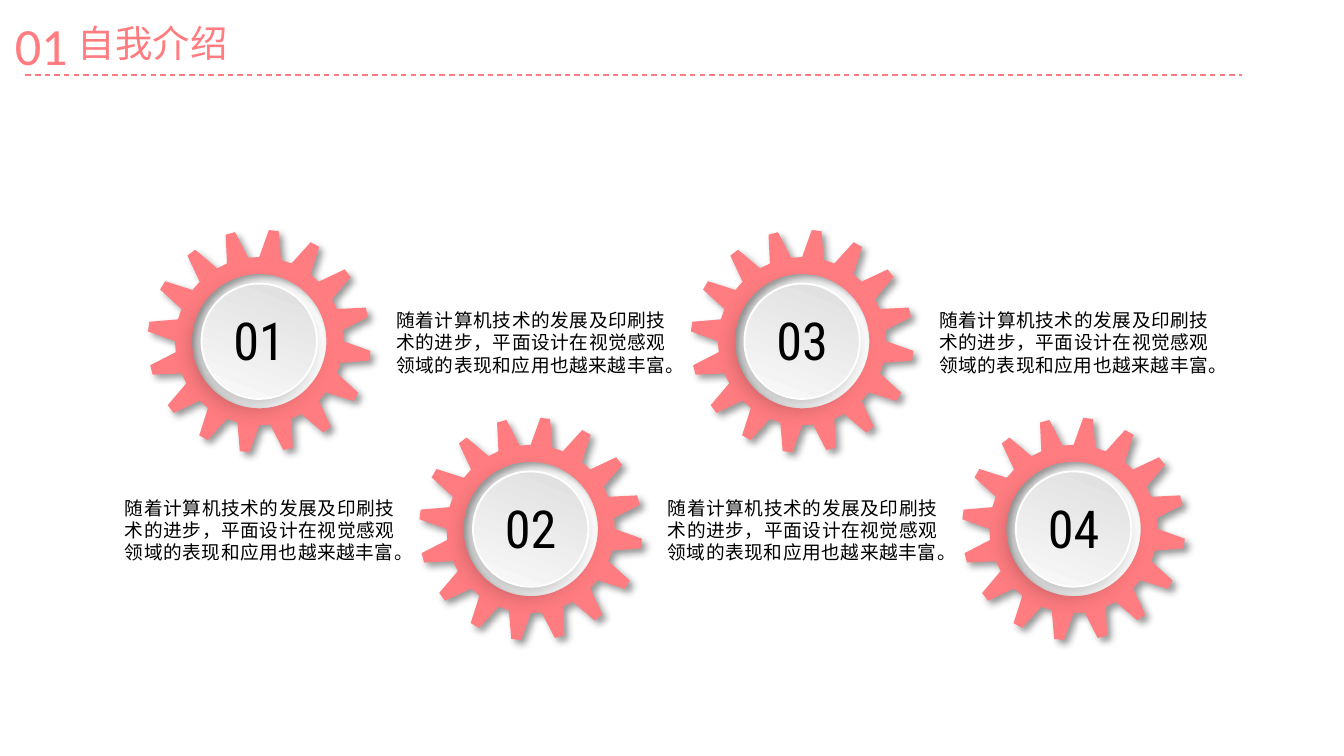
from math import cos, radians, sin

from pptx import Presentation
from pptx.dml.color import RGBColor
from pptx.enum.dml import MSO_LINE
from pptx.enum.shapes import MSO_CONNECTOR, MSO_SHAPE
from pptx.enum.text import MSO_ANCHOR, MSO_AUTO_SIZE, PP_ALIGN
from pptx.oxml.ns import qn
from pptx.oxml.xmlchemy import OxmlElement
from pptx.util import Cm, Pt

DASH = MSO_LINE.DASH
LINE = MSO_CONNECTOR.STRAIGHT
OVAL = MSO_SHAPE.OVAL
TOP = MSO_ANCHOR.TOP
GROW = MSO_AUTO_SIZE.SHAPE_TO_FIT_TEXT
LEFT, MID, FULL = PP_ALIGN.LEFT, PP_ALIGN.CENTER, PP_ALIGN.JUSTIFY

# Content
TITLE = ("01", "自我介绍")
BODY = "随着计算机技术的发展及印刷技术的进步，平面设计在视觉感观领域的表现和应用也越来越丰富。"
ITEMS = [("01", BODY), ("02", BODY), ("03", BODY), ("04", BODY)]

COLORS = {"coral": "FF7C80", "black": "000000", "white": "FFFFFF", "grey": "D9D9D9"}
HAN, NUM, LATIN = "Noto Sans CJK SC", "Roboto Condensed", "Calibri"

# Layout in cm: gears step right and alternate between two rows
START, STEP, ROWS = 4.9, 5.13, (6.45, 10.0)
NOTES = (2.34, -7.92)  # caption offset from the gear centre, by row
RISE = 0.74
TEETH, LEAN = 16, -15
TIP, ROOT, HOLE, DISC = 2.11, 1.59, 1.27, 1.09


def rgb(name):
    return RGBColor.from_string(COLORS[name])


def add_shade(parent, alpha, blur, dist, angle):
    shade = OxmlElement("a:outerShdw")
    for key, val in (("blurRad", Pt(blur)), ("dist", Pt(dist)),
                     ("dir", angle * 60000), ("algn", "ctr"), ("rotWithShape", 0)):
        shade.set(key, str(val))
    tint = OxmlElement("a:srgbClr")
    tint.set("val", COLORS["black"])
    level = OxmlElement("a:alpha")
    level.set("val", str(alpha * 1000))
    tint.append(level)
    shade.append(tint)
    parent.append(shade)


def cast(shape, *args):
    shape.shadow.inherit = False
    add_shade(shape._element.spPr.find(qn("a:effectLst")), *args)


def write(box, text, size, font, color="black", align=LEFT, wrap=True,
          pitch=None, shade=False):
    frame = box.text_frame
    frame.word_wrap = wrap
    frame.auto_size = GROW
    frame.vertical_anchor = TOP
    para = frame.paragraphs[0]
    para.alignment = align
    if pitch:
        para.line_spacing = Pt(pitch)
    run = para.add_run()
    run.text = text
    run.font.size = Pt(size)
    run.font.color.rgb = rgb(color)
    run.font.name = font
    props = run.font._element
    east = OxmlElement("a:ea")
    east.set("typeface", font)
    props.find(qn("a:latin")).addnext(east)
    if shade:
        effect = OxmlElement("a:effectLst")
        add_shade(effect, 43, 3, 3, 45)
        props.find(qn("a:solidFill")).addnext(effect)


def add_box(shapes, x, y, w, h, text, size, font, **style):
    box = shapes.add_textbox(Cm(x), Cm(y), Cm(w), Cm(h))
    write(box, text, size, font, **style)


def polar(x, y, radius, angle):
    turn = radians(angle)
    return Cm(x + radius * sin(turn)), Cm(y - radius * cos(turn))


def add_gear(shapes, x, y):
    tooth = ((-7.5, ROOT), (-2.5, TIP), (2.5, TIP), (7.5, ROOT))
    rim = [polar(x, y, radius, LEAN + 360 / TEETH * i + turn)
           for i in range(TEETH) for turn, radius in tooth]
    hole = [polar(x, y, HOLE, -4 * i) for i in range(90)]
    form = shapes.build_freeform(*rim[0])
    form.add_line_segments(rim[1:])
    form.move_to(*hole[0])
    form.add_line_segments(hole[1:])
    gear = form.convert_to_shape()
    gear.fill.solid()
    gear.fill.fore_color.rgb = rgb("coral")
    gear.line.fill.background()
    cast(gear, 40, 4, 3, 45)


def add_disc(shapes, x, y):
    disc = shapes.add_shape(OVAL, Cm(x - DISC), Cm(y - DISC), Cm(2 * DISC), Cm(2 * DISC))
    disc.rotation = 336.2
    disc.fill.gradient()
    disc.fill.gradient_angle = 45
    for stop, name in zip(disc.fill.gradient_stops, ("white", "grey")):
        stop.color.rgb = rgb(name)
    disc.line.color.rgb = rgb("white")
    disc.line.width = Pt(1)
    cast(disc, 26, 12, 5, 135)


def main():
    deck = Presentation()
    deck.slide_width, deck.slide_height = Cm(25.4), Cm(14.29)
    slide = deck.slides.add_slide(deck.slide_layouts[5])
    shapes = slide.shapes

    # Heading
    number, name = TITLE
    head = shapes.title
    head.left, head.top, head.width, head.height = Cm(1.22), Cm(0.25), Cm(9), Cm(1.11)
    write(head, name, 20, HAN, color="coral", shade=True)
    add_box(shapes, 0.03, 0.13, 1.52, 1.45, number, 28, LATIN, color="coral", wrap=False)
    rule = shapes.add_connector(LINE, Cm(0.48), Cm(1.42), Cm(23.47), Cm(1.42))
    rule.line.color.rgb = rgb("coral")
    rule.line.width = Pt(0.75)
    rule.line.dash_style = DASH
    rule._element.spPr.append(OxmlElement("a:effectLst"))

    # Gears with captions
    for i, (label, note) in enumerate(ITEMS):
        row = i % 2
        x, y = START + STEP * i, ROWS[row]
        add_box(shapes, x + NOTES[row], y - RISE, 5.59, 1.55, note, 10, HAN,
                align=FULL, pitch=12)
        group = shapes.add_group_shape().shapes
        add_gear(group, x, y)
        add_disc(group, x, y)
        add_box(group, x - 0.86, y - RISE, 1.72, 1.45, label, 28, NUM,
                align=MID, shade=True)

    deck.save("out.pptx")


if __name__ == "__main__":
    main()
